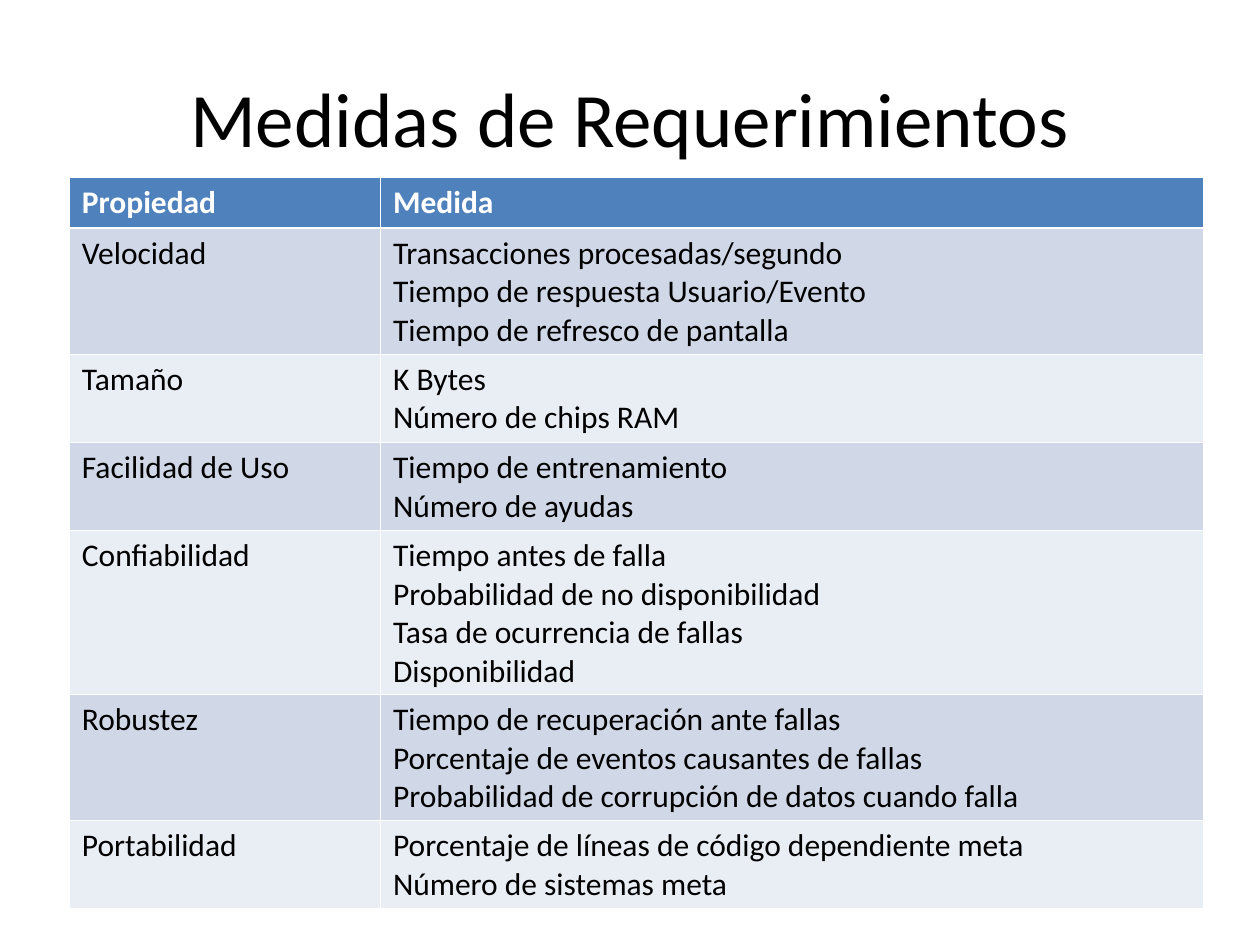
from lxml import etree
from pptx import Presentation
from pptx.dml.color import RGBColor
from pptx.enum.text import MSO_ANCHOR, PP_ALIGN
from pptx.oxml.ns import qn
from pptx.util import Inches, Pt

CENTER = PP_ALIGN.CENTER
LEFT = PP_ALIGN.LEFT
MIDDLE = MSO_ANCHOR.MIDDLE
FONT = "Calibri"
BLACK = RGBColor(0x00, 0x00, 0x00)
WHITE = RGBColor(0xFF, 0xFF, 0xFF)
HEADER_FILL = RGBColor(0x4F, 0x81, 0xBD)
BAND_FILLS = (RGBColor(0xE9, 0xED, 0xF4), RGBColor(0xD0, 0xD8, 0xE8))
THIN, THICK = 0.45, 1.47
COLUMN_WIDTHS = (2.47, 6.53)
LINE_HEIGHT, ROW_PADDING = 0.3, 0.1

ROWS = [
    ("Propiedad", ["Medida"]),
    ("Velocidad", ["Transacciones procesadas/segundo",
                   "Tiempo de respuesta Usuario/Evento",
                   "Tiempo de refresco de pantalla"]),
    ("Tamaño", ["K Bytes", "Número de chips RAM"]),
    ("Facilidad de Uso", ["Tiempo de entrenamiento", "Número de ayudas"]),
    ("Confiabilidad", ["Tiempo antes de falla",
                       "Probabilidad de no disponibilidad",
                       "Tasa de ocurrencia de fallas",
                       "Disponibilidad"]),
    ("Robustez", ["Tiempo de recuperación ante fallas",
                  "Porcentaje de eventos causantes de fallas",
                  "Probabilidad de corrupción de datos cuando falla"]),
    ("Portabilidad", ["Porcentaje de líneas de código dependiente meta",
                      "Número de sistemas meta"]),
]


def write_lines(tf, lines, size, color, bold=False, align=LEFT):
    """Write one styled paragraph per line."""
    tf.text = "\n".join(lines)
    for p in tf.paragraphs:
        p.alignment = align
        p.font.name = FONT
        p.font.size = Pt(size)
        p.font.bold = bold
        p.font.color.rgb = color


def set_borders(cell, top, bottom):
    """Give a cell white borders, thin at the sides."""
    tc_pr = cell._tc.get_or_add_tcPr()
    widths = {"a:lnL": THIN, "a:lnR": THIN, "a:lnT": top, "a:lnB": bottom}
    for i, (tag, width) in enumerate(widths.items()):
        ln = etree.Element(qn(tag), w=str(Pt(width)))
        fill = etree.SubElement(ln, qn("a:solidFill"))
        etree.SubElement(fill, qn("a:srgbClr"), val=str(WHITE))
        tc_pr.insert(i, ln)


def add_title(s, text):
    """Add the centred slide title."""
    tf = s.shapes.add_textbox(Inches(0.5), Inches(0.3), Inches(9), Inches(1.25)).text_frame
    tf.word_wrap = True
    tf.vertical_anchor = MIDDLE
    write_lines(tf, [text], 44, BLACK, align=CENTER)


def add_measures_table(s):
    """Add the banded table of properties and their measures."""
    heights = [LINE_HEIGHT * len(measures) + ROW_PADDING for _, measures in ROWS]
    table = s.shapes.add_table(len(ROWS), len(COLUMN_WIDTHS), Inches(0.55), Inches(1.41),
                               Inches(sum(COLUMN_WIDTHS)), Inches(sum(heights))).table
    for column, width in zip(table.columns, COLUMN_WIDTHS):
        column.width = Inches(width)
    for i, (name, measures) in enumerate(ROWS):
        table.rows[i].height = Inches(heights[i])
        header = i == 0
        for j, lines in enumerate(([name], measures)):
            cell = table.cell(i, j)
            cell.fill.solid()
            cell.fill.fore_color.rgb = HEADER_FILL if header else BAND_FILLS[i % 2]
            set_borders(cell, THICK if i == 1 else THIN, THICK if header else THIN)
            write_lines(cell.text_frame, lines, 18, WHITE if header else BLACK, header)


def main():
    """Build and save the slide."""
    prs = Presentation()
    prs.slide_width, prs.slide_height = Inches(10), Inches(7.5)
    s = prs.slides.add_slide(prs.slide_layouts[6])
    add_title(s, "Medidas de Requerimientos")
    add_measures_table(s)
    prs.save("out.pptx")


if __name__ == "__main__":
    main()
